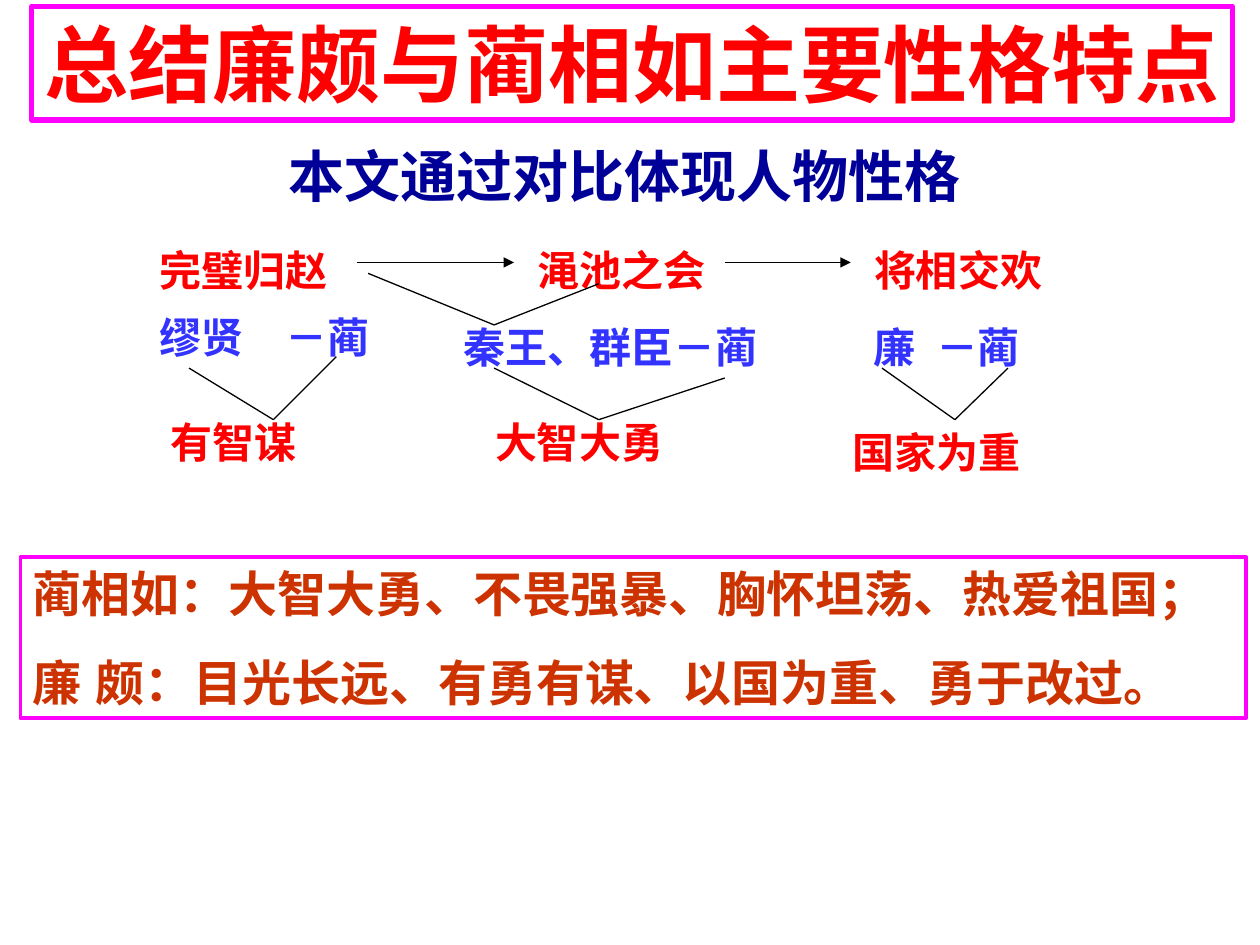
from lxml.etree import SubElement
from pptx import Presentation
from pptx.dml.color import RGBColor
from pptx.enum.shapes import MSO_CONNECTOR
from pptx.enum.text import MSO_ANCHOR, MSO_AUTO_SIZE, PP_ALIGN
from pptx.oxml.ns import qn
from pptx.util import Cm, Pt

COLOURS = {
    "red": "FF0000",
    "blue": "3333FF",
    "navy": "000099",
    "brown": "CC3300",
    "magenta": "FF00FF",
    "black": "000000",
}
LATIN_FONT = "Times New Roman"
CHINESE_FONT = "Noto Sans CJK SC"


def write_text(box, lines, size, colour, font=LATIN_FONT, align=PP_ALIGN.LEFT):
    """Fill a box with (text, tab stop in cm or None) lines in one bold style."""
    frame = box.text_frame
    frame.word_wrap = True
    frame.auto_size = MSO_AUTO_SIZE.NONE
    frame.vertical_anchor = MSO_ANCHOR.TOP
    frame.margin_left = Cm(0.25)
    frame.margin_right = Cm(0)
    frame.margin_top = frame.margin_bottom = Cm(0.13)
    for index, (text, tab_stop) in enumerate(lines):
        para = frame.add_paragraph() if index else frame.paragraphs[0]
        properties = para._p.get_or_add_pPr()
        properties.set("marL", "0")
        properties.set("indent", "0")
        SubElement(properties, qn("a:buNone"))
        if tab_stop:
            tabs = SubElement(properties, qn("a:tabLst"))
            SubElement(tabs, qn("a:tab"), pos=str(Cm(tab_stop)), algn="l")
        para.alignment = align
        para.line_spacing = Pt(size * 1.2)
        para.space_before = Pt(17.5 if index else 0)
        span = para.add_run()
        span.text = text
        span.font.name = font
        span.font.size = Pt(size)
        span.font.bold = True
        span.font.color.rgb = RGBColor.from_string(COLOURS[colour])
        SubElement(span._r.get_or_add_rPr(), qn("a:ea"), typeface=CHINESE_FONT)


def draw_line(page, start, end, arrow=False):
    line = page.shapes.add_connector(
        MSO_CONNECTOR.STRAIGHT, *[Cm(value) for value in (*start, *end)]
    )
    line.line.color.rgb = RGBColor.from_string(COLOURS["black"])
    line.line.width = Pt(0.75)
    if arrow:
        SubElement(line.line._get_or_add_ln(), qn("a:tailEnd"), type="triangle")
    SubElement(line._element.spPr, qn("a:effectLst"))


deck = Presentation()
deck.slide_width = Cm(25.4)
deck.slide_height = Cm(19.05)
page = deck.slides.add_slide(deck.slide_layouts[1])

# Framed title and summary
title = page.shapes.title
summary = page.placeholders[1]
frames = [
    (title, (0.64, 0.13, 24.2, 2.29), 3),
    (summary, (0.41, 11.23, 24.71, 3.25), 2),
]
for box, (left, top, width, height), border in frames:
    box.left, box.top, box.width, box.height = Cm(left), Cm(top), Cm(width), Cm(height)
    box.line.color.rgb = RGBColor.from_string(COLOURS["magenta"])
    box.line.width = Pt(border)

write_text(title, [("总结廉颇与蔺相如主要性格特点", None)], 48, "red")
write_text(
    summary,
    [
        ("蔺相如：大智大勇、不畏强暴、胸怀坦荡、热爱祖国；", None),
        ("廉\t颇：目光长远、有勇有谋、以国为重、勇于改过。", 1.64),
    ],
    28,
    "brown",
    font=CHINESE_FONT,
    align=PP_ALIGN.JUSTIFY,
)

# Subtitle, then events, contrasted people and traits
labels = [
    ("本文通过对比体现人物性格", None, 5.56, 2.72, 15.14, 32, "navy"),
    ("完璧归赵", None, 2.97, 4.8, 3.89, 24, "red"),
    ("渑池之会", None, 10.59, 4.8, 3.89, 24, "red"),
    ("将相交欢", None, 17.37, 4.8, 3.89, 24, "red"),
    ("缪贤\t－蔺", 1.98, 2.97, 6.15, 5.28, 24, "blue"),
    ("秦王、群臣－蔺", None, 9.09, 6.35, 7.82, 24, "blue"),
    ("廉\t－蔺", 1.25, 17.35, 6.35, 4.45, 24, "blue"),
    ("有智谋", None, 3.18, 8.26, 4.01, 24, "red"),
    ("大智大勇", None, 9.73, 8.26, 5.72, 24, "red"),
    ("国家为重", None, 16.94, 8.46, 4.65, 24, "red"),
]
for text, tab_stop, left, top, width, size, colour in labels:
    height = 1.63 if size == 32 else 1.27
    box = page.shapes.add_textbox(Cm(left), Cm(top), Cm(width), Cm(height))
    write_text(box, [(text, tab_stop)], size, colour)

# Each pair of lines meets at a point
junctions = [
    ((3.81, 7.42), (6.78, 7.19), (5.51, 8.46)),
    ((7.42, 5.51), (12.07, 5.72), (9.96, 6.55)),
    ((9.96, 7.42), (14.61, 7.62), (12.07, 8.46)),
    ((17.78, 7.42), (20.32, 7.42), (19.25, 8.46)),
]
for left_end, right_end, meeting_point in junctions:
    draw_line(page, left_end, meeting_point)
    draw_line(page, right_end, meeting_point)

for start, end in [(7.19, 10.36), (14.61, 17.15)]:
    draw_line(page, (start, 5.29), (end, 5.29), arrow=True)

deck.save("out.pptx")
